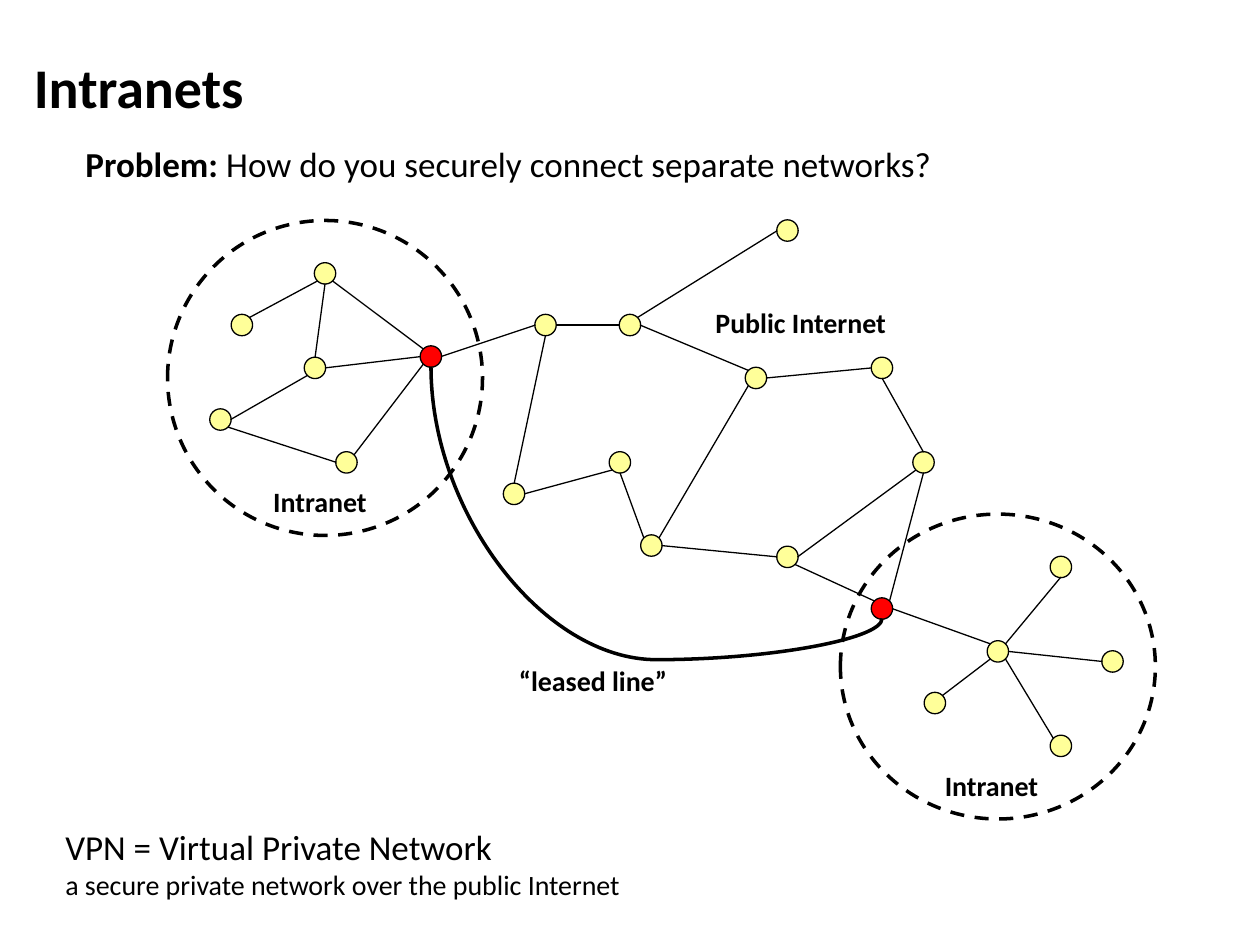
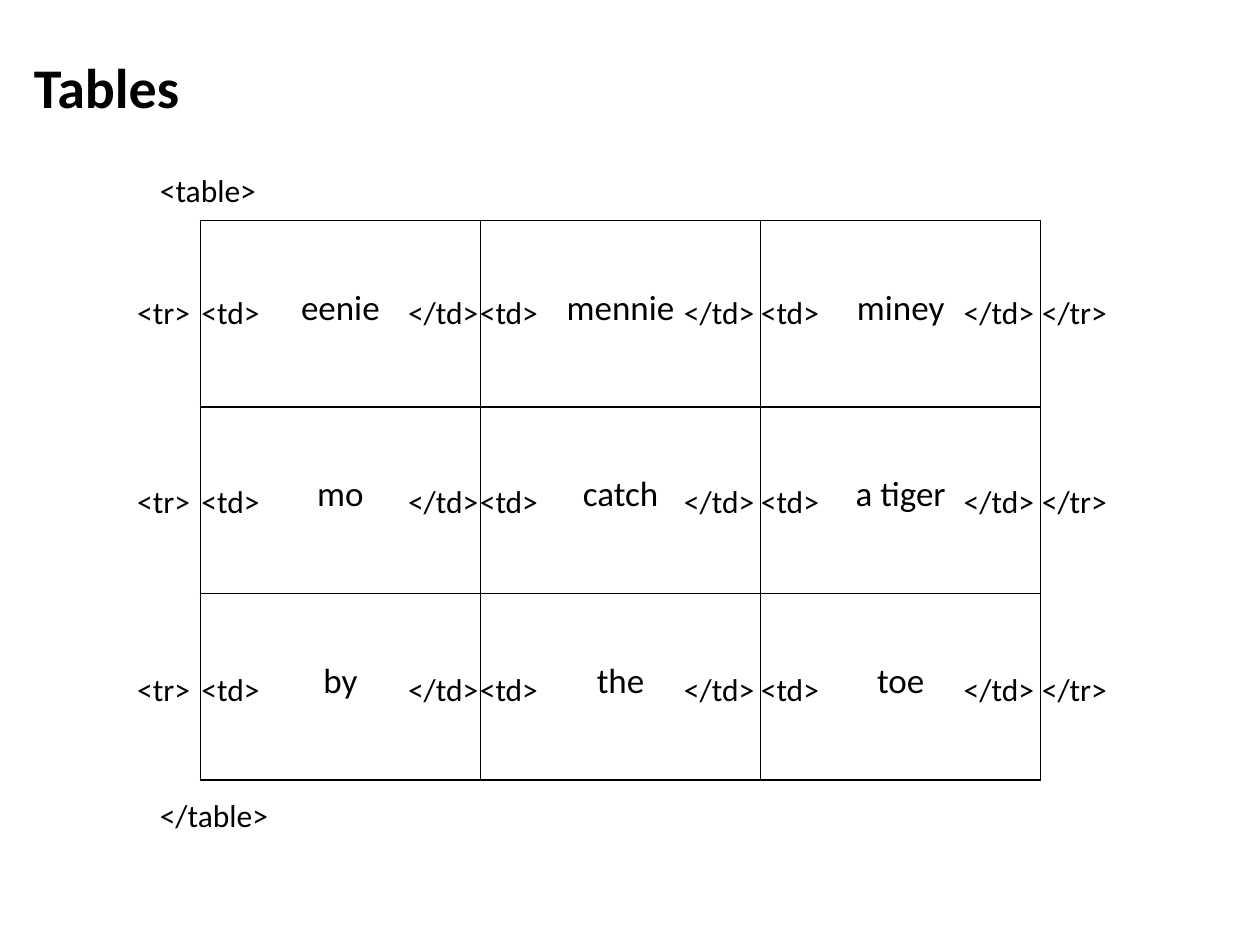
"""Builds two slides: a network of intranets and the tags of a table."""
from lxml.etree import SubElement
from pptx import Presentation
from pptx.dml.color import RGBColor
from pptx.enum.dml import MSO_LINE
from pptx.enum.shapes import MSO_CONNECTOR, MSO_SHAPE
from pptx.enum.text import MSO_ANCHOR, MSO_AUTO_SIZE, PP_ALIGN
from pptx.oxml.ns import qn
from pptx.util import Inches, Pt

FONT = "Calibri"
BLACK, RED, YELLOW = "000000", "FF0000", "FFFF99"


def paint(color, tint):
    color.rgb = RGBColor.from_string(tint)


def write(page, box, lines, bold=False, wrap=False):
    frame = page.shapes.add_textbox(*map(Inches, box)).text_frame
    frame.word_wrap = wrap
    frame.auto_size = MSO_AUTO_SIZE.SHAPE_TO_FIT_TEXT
    for num, (text, size) in enumerate(lines):
        para = frame.add_paragraph() if num else frame.paragraphs[0]
        para.text = text
        para.font.name, para.font.size = FONT, Pt(size)
        para.font.bold = bold
        paint(para.font.color, BLACK)
    return frame


deck = Presentation()
deck.slide_width, deck.slide_height = Inches(10), Inches(7.5)
pages = []
for title in ("Intranets", "Tables"):
    page = deck.slides.add_slide(deck.slide_layouts[6])
    frame = write(page, (0.17, 0.12, 9.5, 1.12), [(title, 32)], True, True)
    frame.auto_size = MSO_AUTO_SIZE.NONE
    frame.vertical_anchor = MSO_ANCHOR.MIDDLE
    pages.append(page)
net, grid = pages

nodes = {
    "a": (2.58, 2.17), "b": (4.33, 2.58), "c": (1.92, 2.58), "d": (1.75, 3.33),
    "e": (2.75, 3.67), "f": (2.5, 2.92), "g": (3.42, 2.83), "h": (4.92, 3.67),
    "i": (4.08, 3.92), "j": (5.17, 4.33), "k": (6, 3), "l": (5, 2.58),
    "m": (6.25, 1.83), "n": (6.25, 4.42), "o": (7, 4.83), "p": (7.33, 3.67),
    "q": (8.42, 4.5), "r": (7.92, 5.17), "s": (7.42, 5.58), "t": (8.83, 5.25),
    "u": (7, 2.92), "v": (8.42, 5.92),
}
gates = "go"
size = 0.17
ovals = [((x - size / 2, y - size / 2, size, size), RED if name in gates else YELLOW)
         for name, (x, y) in nodes.items()]
ovals += [((1.33, 1.75, 2.5, 2.5), None), ((6.67, 4.08, 2.5, 2.42), None)]
for box, tint in ovals:
    oval = net.shapes.add_shape(MSO_SHAPE.OVAL, *map(Inches, box))
    oval.shadow.inherit = False
    paint(oval.line.color, BLACK)
    if tint:
        oval.fill.solid()
        paint(oval.fill.fore_color, tint)
        oval.line.width = Pt(0.75)
    else:
        oval.fill.background()
        oval.line.width = Pt(2)
        oval.line.dash_style = MSO_LINE.DASH

sides = {
    "n": (0, -0.08), "s": (0, 0.08), "w": (-0.08, 0), "e": (0.08, 0),
    "nw": (-0.06, -0.06), "ne": (0.06, -0.06),
    "sw": (-0.06, 0.06), "se": (0.06, 0.06),
}
links = """
c ne a sw, f n a s, d e f sw, a se g nw, f e g w, e ne g sw, d se e w,
g e b w, l ne m w, b e l w, l e k nw, i n b s, i e h sw, k e u w,
j ne k sw, j nw h s, j e n w, u s p n, n e p sw, n se o nw, o ne p s,
o e r nw, s ne r sw, v nw r se, t w r e, q s r ne
"""
wires = []
for link in links.split(","):
    start, out, end, into = link.split()
    ends = [spot + step for name, side in ((start, out), (end, into))
            for spot, step in zip(nodes[name], sides[side])]
    wires.append(net.shapes.add_connector(MSO_CONNECTOR.STRAIGHT, *map(Inches, ends)))
lease = net.shapes.add_connector(
    MSO_CONNECTOR.CURVE, *map(Inches, (6.21, 2.12, 4.21, 5.7)))
form = lease._element.spPr
form.find(qn("a:xfrm")).set("rot", str(270 * 60000))
guides = form.find(qn("a:prstGeom")).find(qn("a:avLst"))
SubElement(guides, qn("a:gd"), name="adj1", fmla="val 116300")
for wire in wires + [lease]:
    paint(wire.line.color, BLACK)
    wire.line.width = Pt(2 if wire is lease else 0.75)
    SubElement(wire._element.spPr, qn("a:effectLst"))

for text, box in (
    ("Intranet", (2.07, 3.8, 1.15, 0.37)),
    ("Intranet", (7.4, 6.05, 1.15, 0.37)),
    ("Public Internet", (5.58, 2.38, 2.17, 0.37)),
    ("“leased line”", (4.02, 5.22, 1.65, 0.37)),
):
    write(net, box, [(text, 16)], True, text == "Public Internet")
write(net, (0.42, 6.5, 4.7, 0.71), [
    ("VPN = Virtual Private Network", 20),
    ("a secure private network over the public Internet", 16),
])
para = write(net, (0.58, 1.08, 7.26, 0.44), [("Problem:", 20)]).paragraphs[0]
para.runs[0].font.bold = True
run = para.add_run()
run.text = " How do you securely connect separate networks?"

words = [("eenie", "mennie", "miney"), ("mo", "catch", "a tiger"), ("by", "the", "toe")]
table = grid.shapes.add_table(
    3, 3, *map(Inches, (1.59, 1.75, 6.67, 4.44))).table
table.first_row = table.horz_banding = False
for row, line in enumerate(words):
    for col, word in enumerate(line):
        cell = table.cell(row, col)
        cell.text = word
        cell.vertical_anchor = MSO_ANCHOR.MIDDLE
        cell.margin_bottom = Inches(0.14)
        para = cell.text_frame.paragraphs[0]
        para.alignment = PP_ALIGN.CENTER
        para.font.name, para.font.size = FONT, Pt(20)
        paint(para.font.color, BLACK)
        props = cell._tc.get_or_add_tcPr()
        for edge in ("a:lnL", "a:lnR", "a:lnT", "a:lnB"):
            rule = SubElement(props, qn(edge), w=str(Pt(1)))
            SubElement(SubElement(rule, qn("a:solidFill")), qn("a:srgbClr"), val=BLACK)
        cell.fill.background()

write(grid, (1.17, 1.31, 0.99, 0.4), [("<table>", 18)])
write(grid, (1.17, 6.27, 1.06, 0.4), [("</table>", 18)])
tags = [("<tr>", 0.99, 0.68), ("</tr>", 8.17, 0.75)]
tags += [("<td>", left, 0.71) for left in (1.5, 3.71, 5.94)]
tags += [("</td>", left, 0.78) for left in (3.14, 5.33, 7.55)]
for row in range(3):
    for tag, left, width in tags:
        write(grid, (left, 2.28 + 1.495 * row, width, 0.4), [(tag, 18)])

deck.save("out.pptx")
